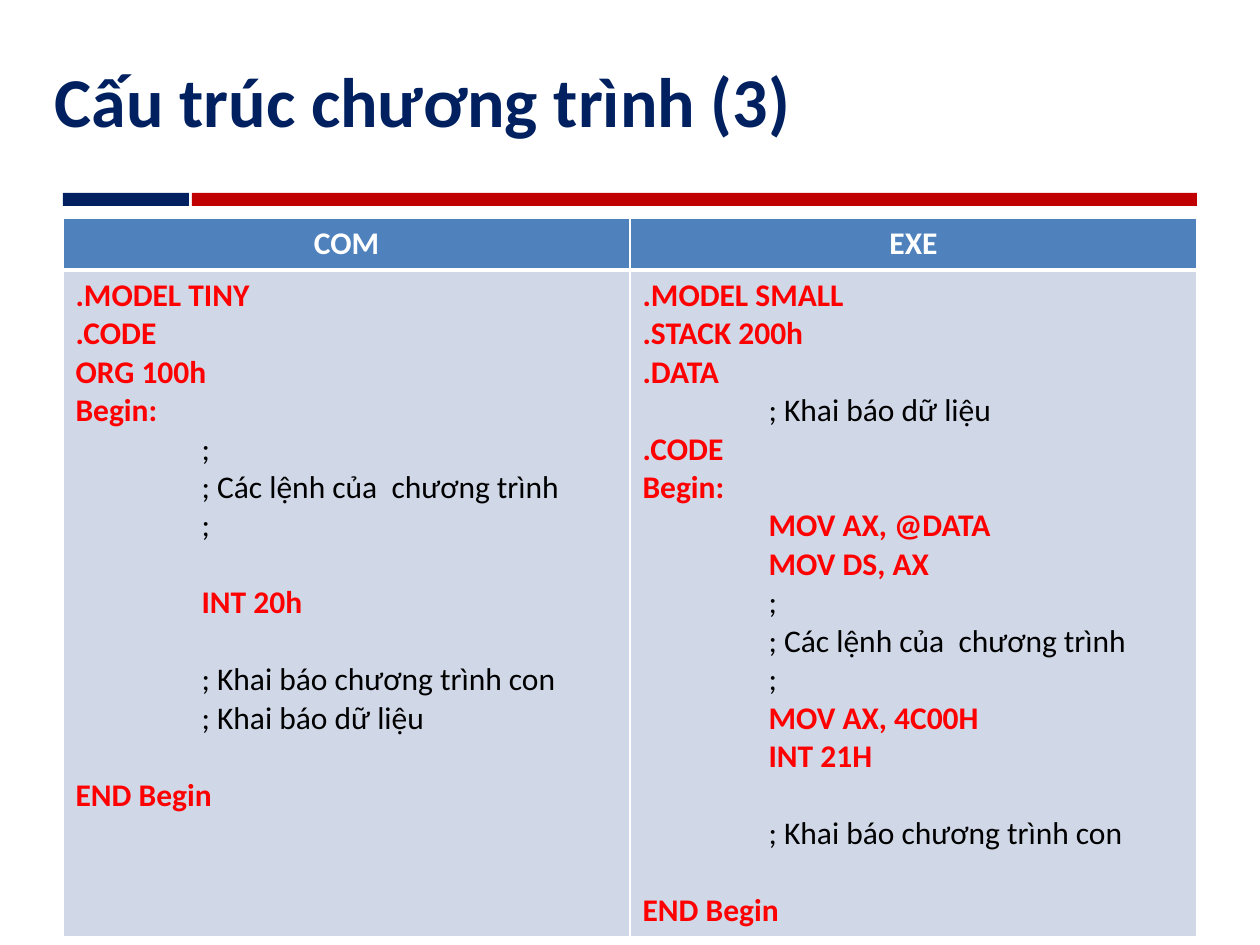
from pptx import Presentation
from pptx import util as u
from pptx.dml.color import RGBColor
from pptx.enum import shapes, text
from pptx.oxml import xmlchemy
from lxml import etree
from pptx.oxml.ns import qn

SCALE = u.Inches(1) / 126
COLORS = {
    "navy": "002060", "crimson": "C00000", "header": "4F81BD",
    "body": "D0D8E8", "code": "FF0000", "comment": "000000", "white": "FFFFFF",
}
FONTS = {
    "title": {"size": u.Pt(40), "bold": True, "name": "Calibri"},
    "header": {"size": u.Pt(18), "bold": True, "name": "Calibri"},
    "code": {"size": u.Pt(18), "bold": True, "name": "Calibri"},
    "comment": {"size": u.Pt(18), "bold": False, "name": "Calibri"},
}
TEXT_COLORS = {"title": "navy", "header": "white", "code": "code", "comment": "comment"}
LINE_GAP = u.Pt(22)

COM_LINES = [
    (0, 0, ".MODEL TINY"),
    (0, 0, ".CODE"),
    (0, 0, "ORG 100h"),
    (0, 0, "Begin:"),
    (1, 0, ";"),
    (1, 0, "; Các lệnh của  chương trình"),
    (1, 0, ";"),
    (1, 1, "INT 20h"),
    (1, 1, "; Khai báo chương trình con"),
    (1, 0, "; Khai báo dữ liệu"),
    (0, 1, "END Begin"),
]
EXE_LINES = [
    (0, 0, ".MODEL SMALL"),
    (0, 0, ".STACK 200h"),
    (0, 0, ".DATA"),
    (1, 0, "; Khai báo dữ liệu"),
    (0, 0, ".CODE"),
    (0, 0, "Begin:"),
    (1, 0, "MOV AX, @DATA"),
    (1, 0, "MOV DS, AX"),
    (1, 0, ";"),
    (1, 0, "; Các lệnh của  chương trình"),
    (1, 0, ";"),
    (1, 0, "MOV AX, 4C00H"),
    (1, 0, "INT 21H"),
    (1, 1, "; Khai báo chương trình con"),
    (0, 1, "END Begin"),
]


def px(value):
    return u.Emu(round(value * SCALE))


def color(name):
    return RGBColor.from_string(COLORS[name])


def apply_format(target, values):
    for name, value in values.items():
        setattr(target, name, value)


def place(shape, left, top, width, height):
    apply_format(shape, {"left": px(left), "top": px(top),
                         "width": px(width), "height": px(height)})


def paint(target, name):
    target.fill.solid()
    target.fill.fore_color.rgb = color(name)


def add_run(paragraph, content, style):
    run = paragraph.add_run()
    run.text = content
    apply_format(run.font, FONTS[style])
    run.font.color.rgb = color(TEXT_COLORS[style])


def set_title(slide, content):
    title = slide.shapes.title
    place(title, 42, 21, 1176, 158)
    title.text_frame.vertical_anchor = text.MSO_ANCHOR.MIDDLE
    paragraph = title.text_frame.paragraphs[0]
    paragraph.alignment = text.PP_ALIGN.LEFT
    add_run(paragraph, content, "title")


def add_bar(slide, left, width, fill):
    bar = slide.shapes.add_shape(shapes.MSO_SHAPE.RECTANGLE,
                                 px(left), px(193), px(width), px(13))
    bar.shadow.inherit = False
    bar.line.fill.background()
    paint(bar, fill)


def set_borders(cell, widths):
    properties = cell._tc.get_or_add_tcPr()
    for position, (side, width) in enumerate(widths.items()):
        line = etree.Element(qn(f"a:ln{side}"), w=str(u.Pt(width)))
        fill = etree.SubElement(line, qn("a:solidFill"))
        etree.SubElement(fill, qn("a:srgbClr"), val=COLORS["white"])
        properties.insert(position, line)


def fill_header(cell, content):
    paint(cell, "header")
    set_borders(cell, {"L": 1, "R": 1, "T": 1, "B": 3})
    cell.vertical_anchor = text.MSO_ANCHOR.MIDDLE
    paragraph = cell.text_frame.paragraphs[0]
    paragraph.alignment = text.PP_ALIGN.CENTER
    add_run(paragraph, content, "header")


def fill_listing(cell, lines):
    paint(cell, "body")
    set_borders(cell, {"L": 1, "R": 1, "T": 3, "B": 1})
    frame = cell.text_frame
    for index, (level, gap, content) in enumerate(lines):
        paragraph = frame.add_paragraph() if index else frame.paragraphs[0]
        paragraph.space_before = gap * LINE_GAP
        paragraph._p.get_or_add_pPr().set("marL", str(level * px(126)))
        add_run(paragraph, content, "comment" if content.startswith(";") else "code")


def add_comparison(slide, columns):
    frame = slide.shapes.add_table(2, len(columns), px(63), px(218), px(1134), px(707))
    table = frame.table
    for row, height in zip(table.rows, (52, 655)):
        row.height = px(height)
    for index, (heading, lines) in enumerate(columns.items()):
        fill_header(table.cell(0, index), heading)
        fill_listing(table.cell(1, index), lines)


def main():
    presentation = Presentation()
    presentation.slide_width = px(1260)
    presentation.slide_height = px(945)
    slide = presentation.slides.add_slide(presentation.slide_layouts[5])
    add_bar(slide, 63, 126, "navy")
    add_bar(slide, 192, 1005, "crimson")
    set_title(slide, "Cấu trúc chương trình (3)")
    add_comparison(slide, {"COM": COM_LINES, "EXE": EXE_LINES})
    presentation.save("out.pptx")


if __name__ == "__main__":
    main()
